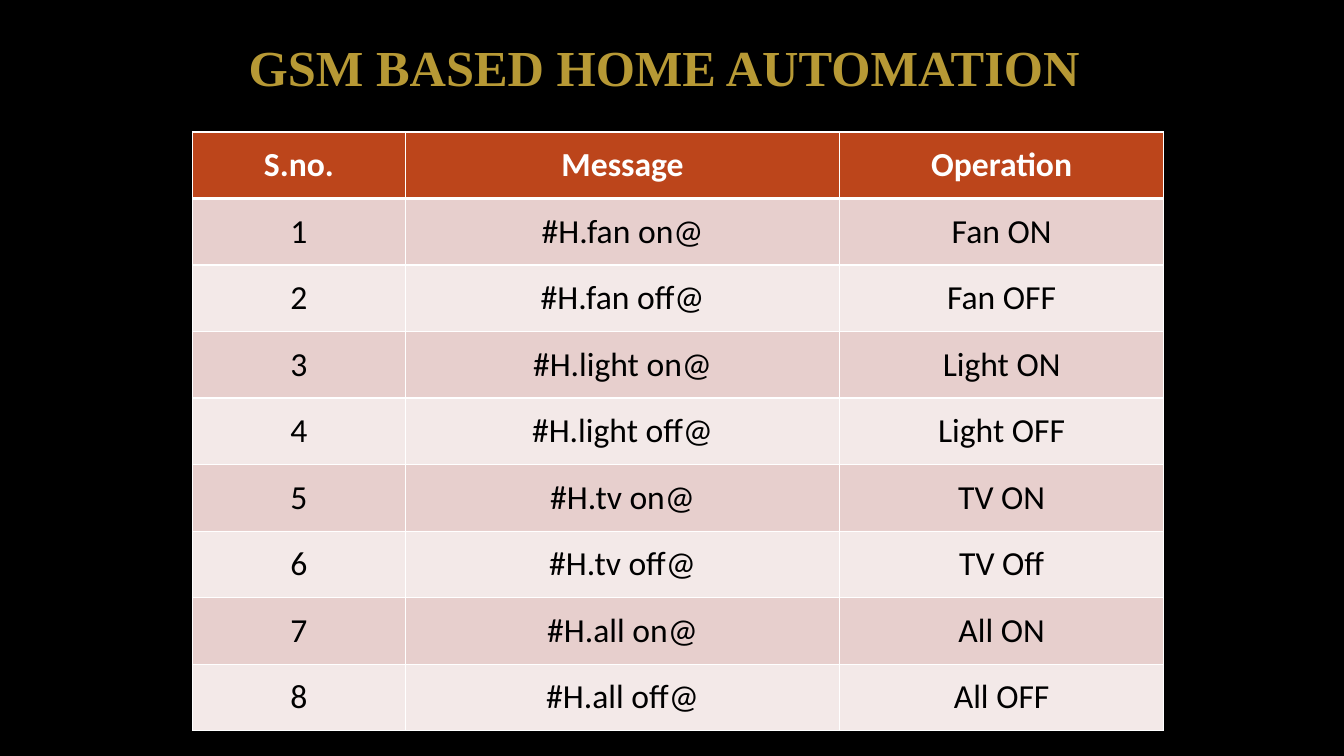
from pptx import Presentation
from pptx.dml.color import RGBColor
from pptx.enum.text import MSO_ANCHOR, PP_ALIGN
from pptx.oxml import parse_xml
from pptx.oxml.ns import nsdecls
from pptx.util import Inches, Pt

"""Build the slide listing the home automation messages."""

TITLE = "GSM BASED HOME AUTOMATION"
HEAD = ("S.no.", "Message", "Operation")
ORDERS = [
    ("#H.fan on@", "Fan ON"),
    ("#H.fan off@", "Fan OFF"),
    ("#H.light on@", "Light ON"),
    ("#H.light off@", "Light OFF"),
    ("#H.tv on@", "TV ON"),
    ("#H.tv off@", "TV Off"),
    ("#H.all on@", "All ON"),
    ("#H.all off@", "All OFF"),
]
WIDTHS = (2.11, 4.31, 3.21)
HEIGHT = 0.66

BLACK = RGBColor(0, 0, 0)
WHITE = RGBColor(255, 255, 255)
GOLD = RGBColor(0xB7, 0x99, 0x35)
GREY = RGBColor(0x40, 0x40, 0x40)
RUST = RGBColor(0xBC, 0x45, 0x1B)
BANDS = (RGBColor(0xF3, 0xE9, 0xE8), RGBColor(0xE7, 0xCF, 0xCD))


def write(frame, text, size=24, font="Calibri", color=BLACK, bold=False):
    """Put one centred run in the frame and return it."""
    para = frame.paragraphs[0]
    para.alignment = PP_ALIGN.CENTER
    run = para.add_run()
    run.text = text
    run.font.size = Pt(size)
    run.font.name = font
    run.font.bold = bold
    run.font.color.rgb = color
    return run


def line(tag, width, color, alpha=100):
    """Return a solid line element."""
    return parse_xml(
        f'<a:{tag} {nsdecls("a")} w="{Pt(width)}"><a:solidFill>'
        f'<a:srgbClr val="{color}"><a:alpha val="{alpha * 1000}"/></a:srgbClr>'
        f'</a:solidFill><a:prstDash val="solid"/></a:{tag}>'
    )


def border(cell, top, bottom):
    """Draw the four white sides of a cell."""
    props = cell._tc.get_or_add_tcPr()
    for side, width in zip("LRTB", (1, 1, top, bottom)):
        props.append(line(f"ln{side}", width, WHITE))


deck = Presentation()
deck.slide_width, deck.slide_height = Inches(13.33), Inches(7.5)
slide = deck.slides.add_slide(deck.slide_layouts[5])
slide.background.fill.solid()
slide.background.fill.fore_color.rgb = BLACK

title = slide.shapes.title
title.left, title.top = Inches(0.15), Inches(0.26)
title.width, title.height = Inches(12.88), Inches(0.8)
title.text_frame.vertical_anchor = MSO_ANCHOR.MIDDLE
run = write(title.text_frame, TITLE, size=36, font="Times New Roman", color=GOLD, bold=True)
run.font._element.insert(0, line("ln", 0.75, GREY, alpha=10))

rows = [HEAD] + [(str(num), *order) for num, order in enumerate(ORDERS, 1)]
grid = slide.shapes.add_table(
    len(rows), len(HEAD), Inches(1.91), Inches(1.31),
    Inches(sum(WIDTHS)), Inches(HEIGHT * len(rows)),
).table
for col, width in zip(grid.columns, WIDTHS):
    col.width = Inches(width)
for r, texts in enumerate(rows):
    grid.rows[r].height = Inches(HEIGHT)
    for c, text in enumerate(texts):
        cell = grid.cell(r, c)
        border(cell, top=3 if r == 1 else 1, bottom=3 if r == 0 else 1)
        cell.fill.solid()
        cell.fill.fore_color.rgb = BANDS[r % 2] if r else RUST
        cell.vertical_anchor = MSO_ANCHOR.MIDDLE
        cell.margin_left = cell.margin_right = Inches(0.1)
        cell.margin_top = cell.margin_bottom = Inches(0.1)
        write(cell.text_frame, text, color=BLACK if r else WHITE, bold=r == 0)

deck.save("out.pptx")
